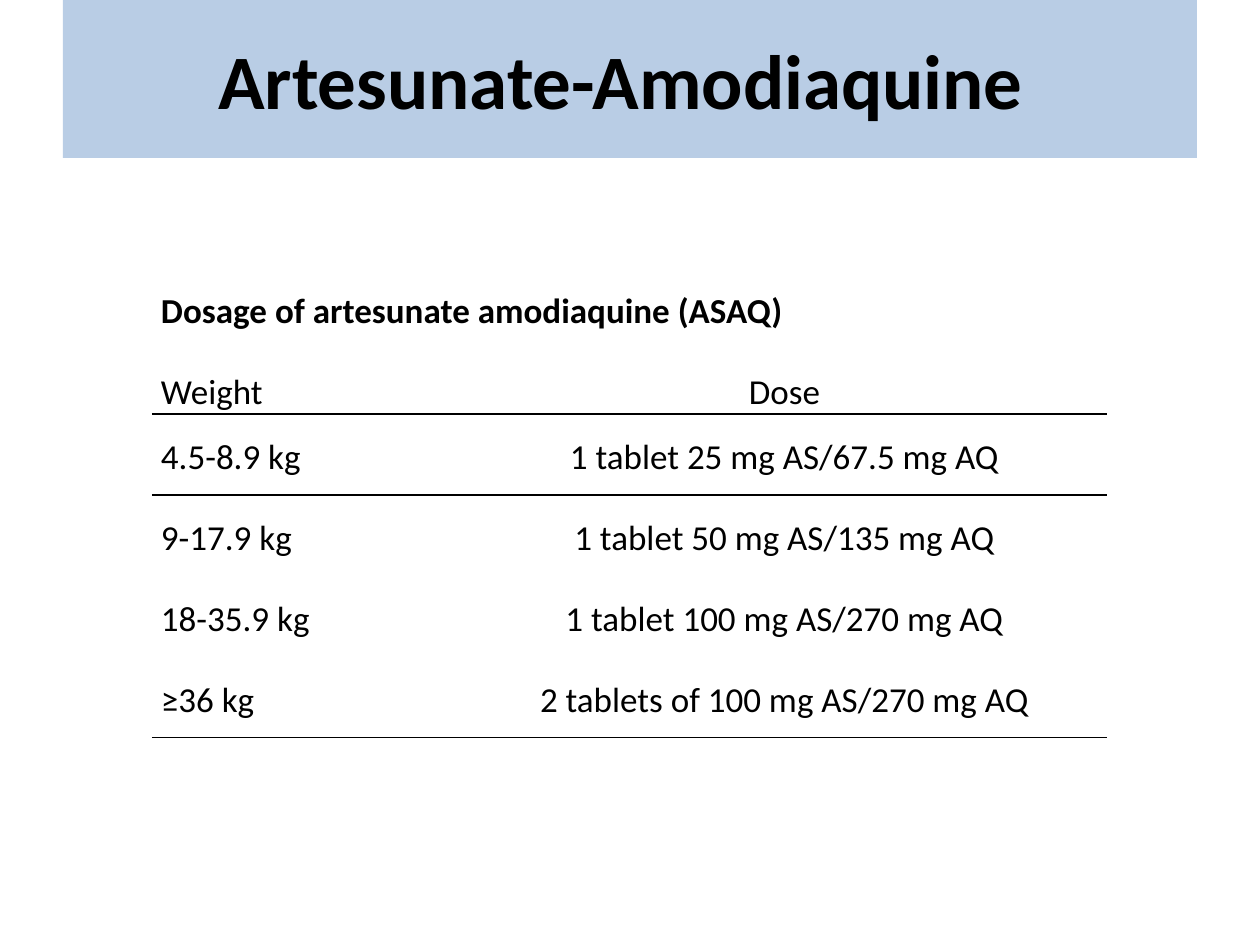
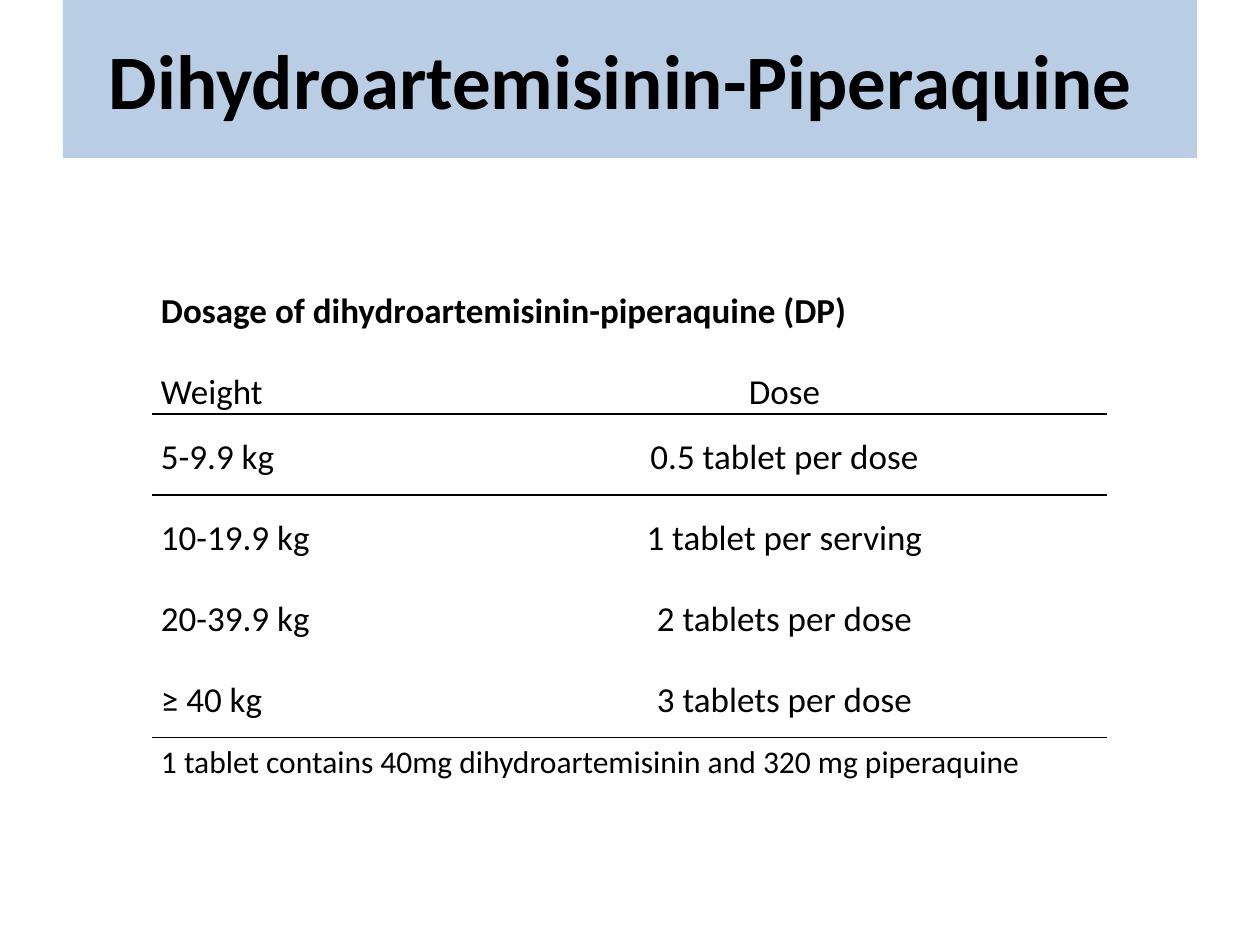
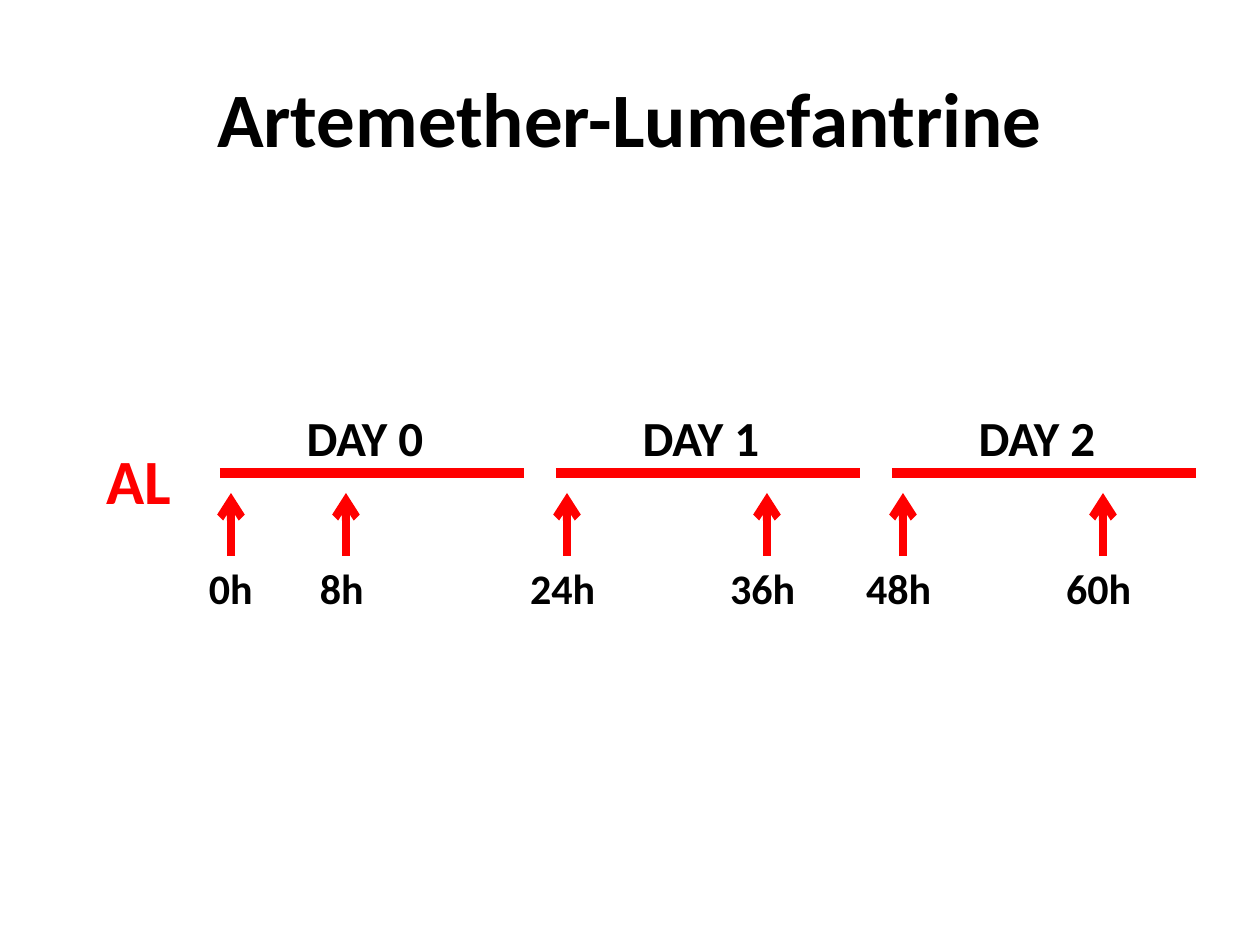
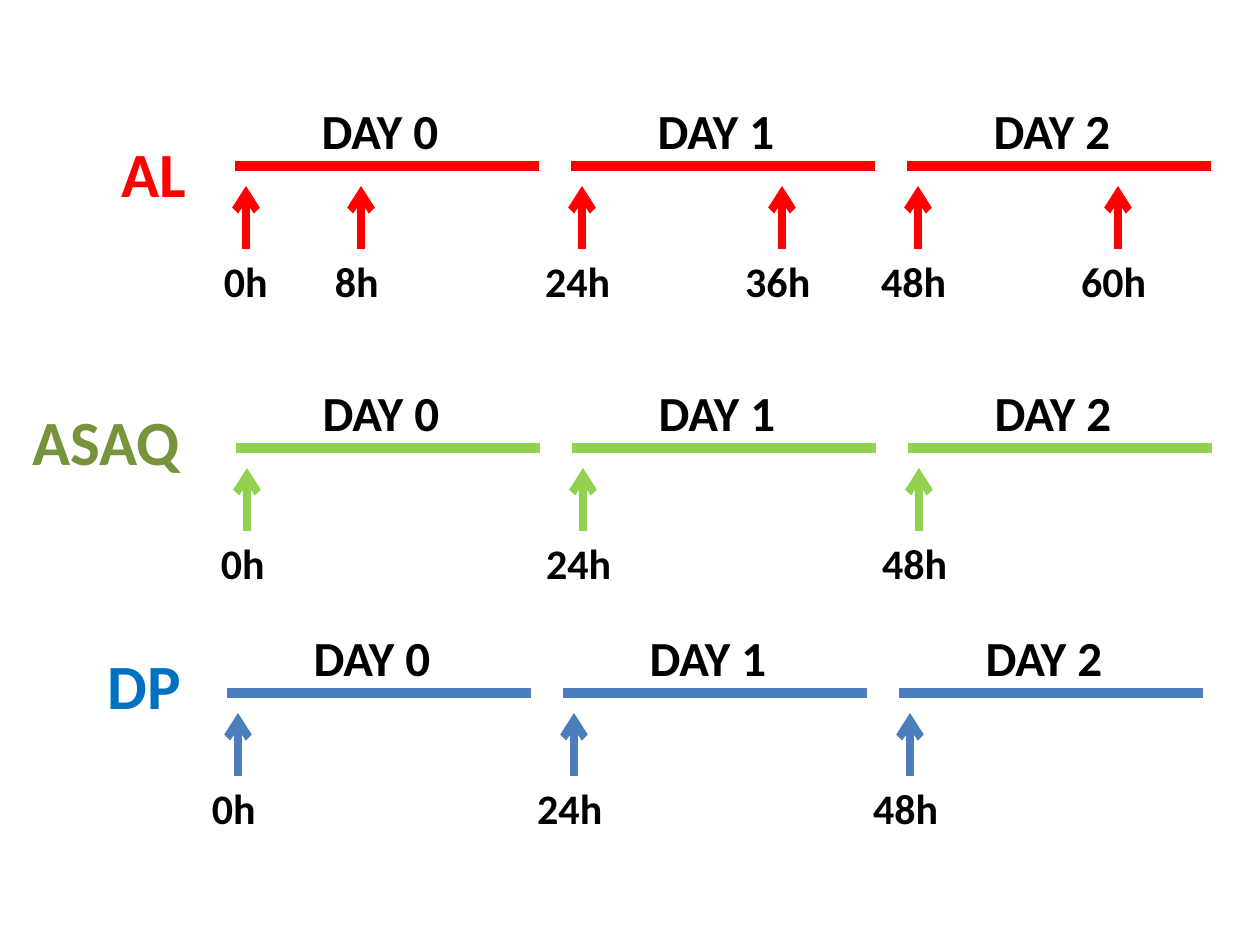
import dataclasses

import lxml.etree
import pptx
import pptx.dml.color
import pptx.enum.shapes
import pptx.enum.text
import pptx.oxml.ns
import pptx.util

SCALE = 914400 / 126  # EMU in one px
FONT = "Calibri"
NO_TABLE_STYLE = "{2D5ABB26-0587-4C30-8999-92F81FD0307C}"

BLACK = pptx.dml.color.RGBColor(0x00, 0x00, 0x00)
BAND_BLUE = pptx.dml.color.RGBColor(0xB9, 0xCD, 0xE5)
RED = pptx.dml.color.RGBColor(0xFF, 0x00, 0x00)
GREEN = pptx.dml.color.RGBColor(0x92, 0xD0, 0x50)
OLIVE = pptx.dml.color.RGBColor(0x77, 0x93, 0x3C)
STEEL_BLUE = pptx.dml.color.RGBColor(0x4B, 0x7E, 0xBC)
BLUE = pptx.dml.color.RGBColor(0x00, 0x70, 0xC0)

LEFT = pptx.enum.text.PP_ALIGN.LEFT
CENTER = pptx.enum.text.PP_ALIGN.CENTER
TOP = pptx.enum.text.MSO_ANCHOR.TOP
MIDDLE = pptx.enum.text.MSO_ANCHOR.MIDDLE
BOTTOM = pptx.enum.text.MSO_ANCHOR.BOTTOM

TITLE_LEFT, TITLE_WIDTH, TITLE_HEIGHT = 63, 1134, 158
TABLE_LEFT, TABLE_TOP, ROW_HEIGHT = 152, 252, 81
COLUMN_WIDTHS = (310, 645)
DAY_PITCH, BAR_WIDTH, BAR_DROP = 336, 304, 72
DAY_LABEL_WIDTH, HOUR_WIDTH, HOUR_HEIGHT = 309, 147, 63
FIRST_DOSE, ARROW_TIP, ARROW_FOOT = 11, 92, 155


@dataclasses.dataclass
class Dose:
    hour: str
    day: int
    delay: int = 0  # px after the first dose of the day
    label_shift: int = 0


@dataclasses.dataclass
class Regimen:
    name: str
    name_color: pptx.dml.color.RGBColor
    line_color: pptx.dml.color.RGBColor
    name_box: tuple  # left, top and width relative to the schedule
    doses: list


DAILY_DOSES = [Dose("0h ", 0), Dose("24h ", 1), Dose("48h ", 2)]
AL = Regimen("AL", RED, RED, (-126, 34, 101), [
    Dose("0h ", 0, label_shift=4), Dose("8h ", 0, 115),
    Dose("24h ", 1), Dose("36h ", 1, 200),
    Dose("48h ", 2), Dose("60h ", 2, 200),
])
ASAQ = Regimen("ASAQ", OLIVE, GREEN, (-216, 20, 178), DAILY_DOSES)
DP = Regimen("DP", BLUE, STEEL_BLUE, (-132, 19, 106), DAILY_DOSES)

ASAQ_ROWS = [
    ("Dosage of artesunate amodiaquine (ASAQ)", ""),
    ("Weight", "Dose"),
    ("4.5-8.9 kg", "1 tablet 25 mg AS/67.5 mg AQ"),
    ("9-17.9 kg", "1 tablet 50 mg AS/135 mg AQ"),
    ("18-35.9 kg", "1 tablet 100 mg AS/270 mg AQ"),
    ("≥36 kg", "2 tablets of 100 mg AS/270 mg AQ"),
    ("", ""),
]
DP_ROWS = [
    ("Dosage of dihydroartemisinin-piperaquine (DP)", ""),
    ("Weight", "Dose"),
    ("5-9.9 kg", "0.5 tablet per dose"),
    ("10-19.9 kg", "1 tablet per serving"),
    ("20-39.9 kg", "2 tablets per dose"),
    ("≥ 40 kg", "3 tablets per dose"),
    ("1 tablet contains 40mg dihydroartemisinin and 320 mg piperaquine", ""),
]


def px(length):
    return pptx.util.Emu(round(length * SCALE))


def write(text_frame, text, size, color=BLACK, bold=True, align=CENTER):
    text_frame.text = text
    para = text_frame.paragraphs[0]
    para.alignment = align
    for span in para.runs:
        span.font.name = FONT
        span.font.size = pptx.util.Pt(size)
        span.font.bold = bold
        span.font.color.rgb = color
    return para


def add_text(page, left, top, width, height, text, size, **style):
    box = page.shapes.add_textbox(px(left), px(top), px(width), px(height))
    box.text_frame.word_wrap = True
    write(box.text_frame, text, size, **style)
    return box


def add_title(page, text, top, fill=None):
    box = add_text(page, TITLE_LEFT, top, TITLE_WIDTH, TITLE_HEIGHT, text, 44)
    box.text_frame.vertical_anchor = MIDDLE
    if fill is not None:
        box.fill.solid()
        box.fill.fore_color.rgb = fill


def add_line(page, start, end, color, weight, arrow=False):
    line = page.shapes.add_connector(
        pptx.enum.shapes.MSO_CONNECTOR.STRAIGHT, *map(px, start + end))
    line.line.color.rgb = color
    line.line.width = pptx.util.Pt(weight)
    properties = line._element.spPr
    if arrow:
        lxml.etree.SubElement(line.line._get_or_add_ln(),
                              pptx.oxml.ns.qn("a:tailEnd"), type="arrow")
    lxml.etree.SubElement(properties, pptx.oxml.ns.qn("a:effectLst"))


def add_border(cell, side):
    """Draw a thin black border; side is lnT or lnB."""
    border = lxml.etree.Element(pptx.oxml.ns.qn("a:" + side), w="12700")
    fill = lxml.etree.SubElement(border, pptx.oxml.ns.qn("a:solidFill"))
    lxml.etree.SubElement(fill, pptx.oxml.ns.qn("a:srgbClr"), val=str(BLACK))
    cell._tc.get_or_add_tcPr().insert(0, border)


def add_dosage_table(page, left, top, rows):
    """Heading row, column names, doses by weight and a closing note row."""
    frame = page.shapes.add_table(
        len(rows), len(COLUMN_WIDTHS), px(left), px(top),
        px(sum(COLUMN_WIDTHS)), px(ROW_HEIGHT * len(rows)))
    table = frame.table
    table.first_row = table.horz_banding = False
    style = table._tbl.tblPr.find(pptx.oxml.ns.qn("a:tableStyleId"))
    style.text = NO_TABLE_STYLE
    for column, width in zip(table.columns, COLUMN_WIDTHS):
        column.width = px(width)

    note_row = len(rows) - 1
    anchors = {0: BOTTOM, 1: BOTTOM, note_row: TOP}
    borders = {1: "lnB", 2: "lnT", note_row - 1: "lnB", note_row: "lnT"}
    for row, texts in enumerate(rows):
        table.rows[row].height = px(ROW_HEIGHT)
        for column, text in enumerate(texts):
            cell = table.cell(row, column)
            cell.fill.background()
            cell.margin_left = cell.margin_right = px(9)
            cell.margin_top = cell.margin_bottom = 0
            cell.vertical_anchor = anchors.get(row, MIDDLE)
            para = write(cell.text_frame, text, 18 if row == note_row else 20,
                         bold=row == 0, align=CENTER if column else LEFT)
            para.line_spacing = 1.15
            if row in borders:
                add_border(cell, borders[row])
    for row in (0, note_row):
        table.cell(row, 0).merge(table.cell(row, 1))


def add_schedule(page, left, top, regimen):
    """Three day bars with dose arrows; left is where the first bar starts."""
    for day in range(3):
        start = left + day * DAY_PITCH
        bar_y = top + BAR_DROP
        add_line(page, (start, bar_y), (start + BAR_WIDTH, bar_y),
                 regimen.line_color, 6)
        add_text(page, start - 4, top, DAY_LABEL_WIDTH, BAR_DROP,
                 f"DAY {day} ", 28)
    for dose in regimen.doses:
        x = left + dose.day * DAY_PITCH + FIRST_DOSE + dose.delay
        add_line(page, (x, top + ARROW_FOOT), (x, top + ARROW_TIP),
                 regimen.line_color, 4.5, arrow=True)
        add_text(page, x - HOUR_WIDTH // 2 + dose.label_shift,
                 top + ARROW_FOOT, HOUR_WIDTH, HOUR_HEIGHT, dose.hour, 24)
    name_left, name_top, name_width = regimen.name_box
    add_text(page, left + name_left, top + name_top, name_width, 89,
             regimen.name, 36, color=regimen.name_color, align=LEFT)


def build_dosage_page(page, title, rows):
    add_title(page, title, 0, BAND_BLUE)
    add_dosage_table(page, TABLE_LEFT, TABLE_TOP, rows)


def build_single_schedule_page(page):
    add_title(page, "Artemether-Lumefantrine", 38)
    add_schedule(page, 220, 401, AL)


def build_comparison_page(page):
    add_schedule(page, 235, 94, AL)
    add_schedule(page, 236, 376, ASAQ)
    add_schedule(page, 227, 621, DP)


def main():
    deck = pptx.Presentation()
    deck.slide_width, deck.slide_height = px(1260), px(945)
    blank = deck.slide_layouts[6]
    pages = [deck.slides.add_slide(blank) for _ in range(4)]
    build_dosage_page(pages[0], "Artesunate-Amodiaquine ", ASAQ_ROWS)
    build_dosage_page(pages[1], "Dihydroartemisinin-Piperaquine ", DP_ROWS)
    build_single_schedule_page(pages[2])
    build_comparison_page(pages[3])
    deck.save("out.pptx")


if __name__ == "__main__":
    main()
